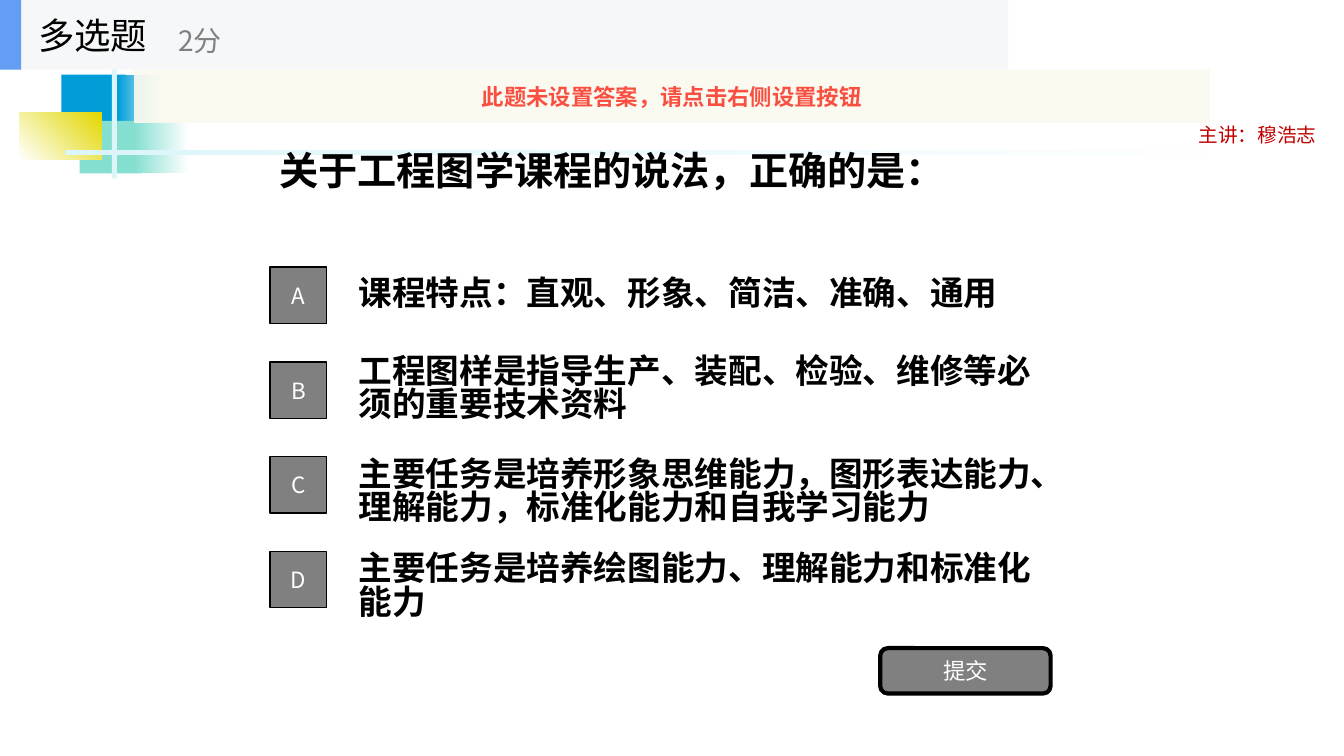
from lxml import etree
from pptx import Presentation
from pptx.dml.color import RGBColor
from pptx.enum.shapes import MSO_SHAPE as Preset
from pptx.enum.text import MSO_ANCHOR as Anchor, PP_ALIGN as Align
from pptx.oxml.ns import qn
from pptx.util import Inches, Pt

SANS = "Noto Sans CJK SC"
OPTIONS = [
    ("A", "课程特点：直观、形象、简洁、准确、通用", "Arial", -0.07),
    ("B", "工程图样是指导生产、装配、检验、维修等必须的重要技术资料", SANS, -0.07),
    ("C", "主要任务是培养形象思维能力，图形表达能力、理解能力，标准化能力和自我学习能力", SANS, 0.01),
    ("D", "主要任务是培养绘图能力、理解能力和标准化能力", SANS, 0.01),
]


def color(value):
    return RGBColor.from_string(value)


def write(holder, text, size, ink, bold=False, align=Align.LEFT,
          anchor=Anchor.MIDDLE, font=SANS, spacing=None):
    frame = holder.text_frame
    frame.word_wrap = True
    frame.vertical_anchor = anchor
    paragraph = frame.paragraphs[0]
    paragraph.alignment = align
    if spacing:
        paragraph.line_spacing = spacing
    run = paragraph.add_run()
    run.text = text
    run.font.size = Pt(size)
    run.font.bold = bold
    run.font.name = font
    run.font.color.rgb = color(ink)
    east_asian = etree.SubElement(run.font._element, qn("a:ea"))
    east_asian.set("typeface", SANS)


def add_label(slide, box, text, size, ink, **style):
    label = slide.shapes.add_textbox(*map(Inches, box))
    write(label, text, size, ink, **style)


def add_block(slide, box, fill, fade_to=None, angle=0, border=0, preset=Preset.RECTANGLE):
    block = slide.shapes.add_shape(preset, *map(Inches, box))
    block.shadow.inherit = False
    if fade_to:
        block.fill.gradient()
        block.fill.gradient_angle = angle
        for stop, value, position in zip(block.fill.gradient_stops, (fill, fade_to), (0, 1)):
            stop.color.rgb = color(value)
            stop.position = position
    else:
        block.fill.solid()
        block.fill.fore_color.rgb = color(fill)
    if border:
        block.line.color.rgb = color("000000")
        block.line.width = Pt(border)
    else:
        block.line.fill.background()
    return block


def add_ornament(slide, left, top):
    for x, y, width, height, fill, fade_to, angle in [
        (0.42, 0.12, 0.64, 0.52, "009DD9", None, 0),
        (0.98, 0.12, 0.48, 0.52, "009DD9", "FFFFFF", 0),
        (0.6, 0.58, 0.62, 0.52, "85DFD0", None, 0),
        (1.14, 0.58, 0.54, 0.52, "85DFD0", "FFFFFF", 0),
        (0, 0.5, 0.82, 0.46, "FFFFFF", "E2D700", 45),
        (0.92, 0, 0.05, 1.15, "DBF5F9", None, 0),
        (0.46, 0.87, 12, 0.05, "DBF5F9", "FFFFFF", 0),
    ]:
        add_block(slide, (left + x, top + y, width, height), fill, fade_to, angle)


def add_question(slide, left, top, width, height):
    question = slide.shapes.title
    question.left, question.top = Inches(left), Inches(top)
    question.width, question.height = Inches(width), Inches(height)
    write(question, "关于工程图学课程的说法，正确的是：", 28, "000000", bold=True)
    question.element.getparent().append(question.element)


def add_options(slide, left, top, step):
    for row, (letter, answer, font, nudge) in enumerate(OPTIONS):
        y = top + row * step
        add_label(slide, (left + 0.78, y + nudge, 7, 0.7), answer, 24, "000000",
                  bold=True, font=font, spacing=0.83)
        key = add_block(slide, (left, y, 0.56, 0.56), "808080", border=1)
        write(key, letter, 16, "FFFFFF", align=Align.CENTER)


def add_submit(slide, box):
    submit = add_block(slide, box, "808080", border=3, preset=Preset.ROUNDED_RECTANGLE)
    write(submit, "提交", 16, "FFFFFF", align=Align.CENTER)


def add_header(slide, left, top, width, height):
    add_block(slide, (left, top, width, height), "F6F7F8")
    add_block(slide, (left, top, 0.21, height), "639EF4")
    add_label(slide, (left + 0.28, top, 2.08, height), "多选题", 26, "000000")
    add_label(slide, (left + 1.67, top + 0.12, 2.5, 0.56), "2分", 20, "808080")


def add_warning(slide, box):
    warning = add_block(slide, box, "FBFAEF")
    tint = warning.fill._xPr.find(".//" + qn("a:srgbClr"))
    etree.SubElement(tint, qn("a:alpha")).set("val", "90000")
    write(warning, "此题未设置答案，请点击右侧设置按钮", 16, "F84F41",
          bold=True, align=Align.CENTER)


def main():
    deck = Presentation()
    deck.slide_width, deck.slide_height = Inches(13.33), Inches(7.5)
    slide = deck.slides.add_slide(deck.slide_layouts[5])
    add_ornament(slide, 0.19, 0.62)
    add_label(slide, (11.79, 1.17, 1.47, 0.34), "主讲：穆浩志", 14, "C00000", anchor=Anchor.TOP)
    add_question(slide, 2.67, 1.02, 8, 1.33)
    add_options(slide, 2.68, 2.65, 0.94)
    add_submit(slide, (8.73, 6.43, 1.69, 0.45))
    add_header(slide, 0, 0, 10, 0.69)
    add_warning(slide, (1.33, 0.69, 10.67, 0.53))
    deck.save("out.pptx")


if __name__ == "__main__":
    main()
